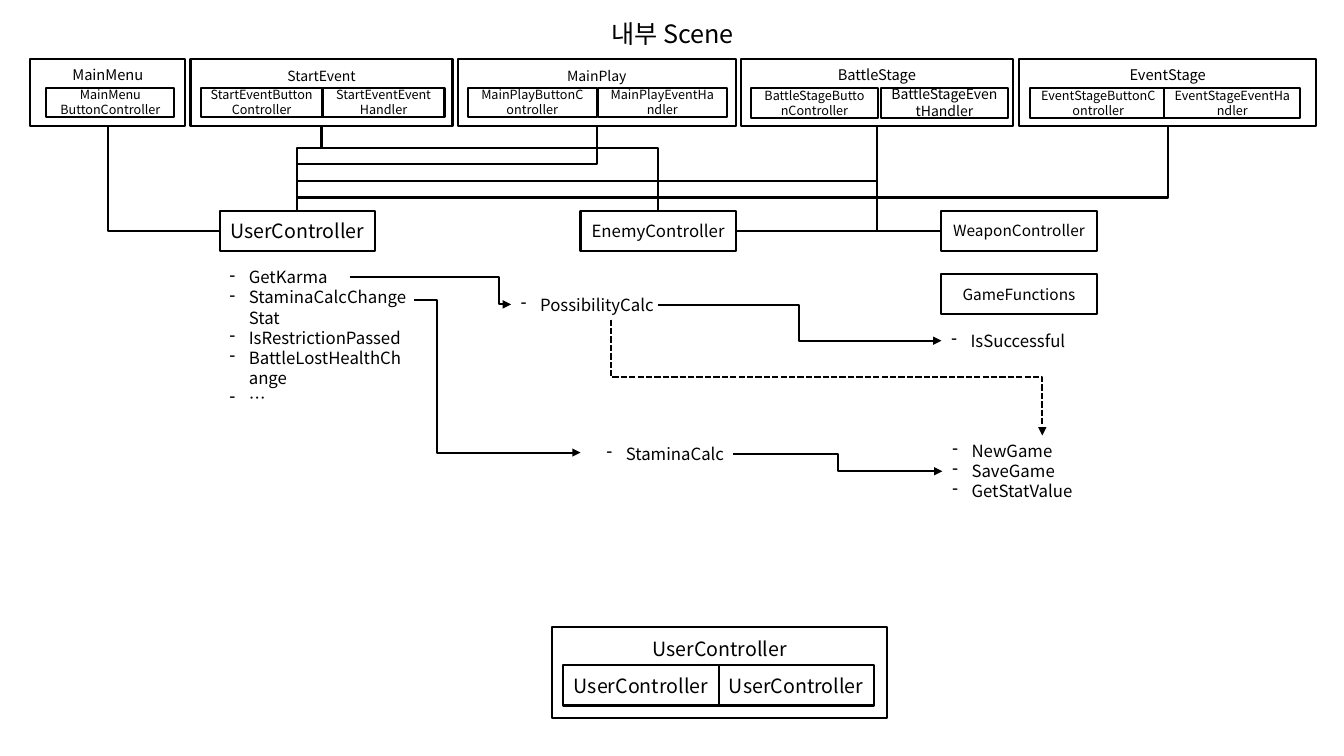
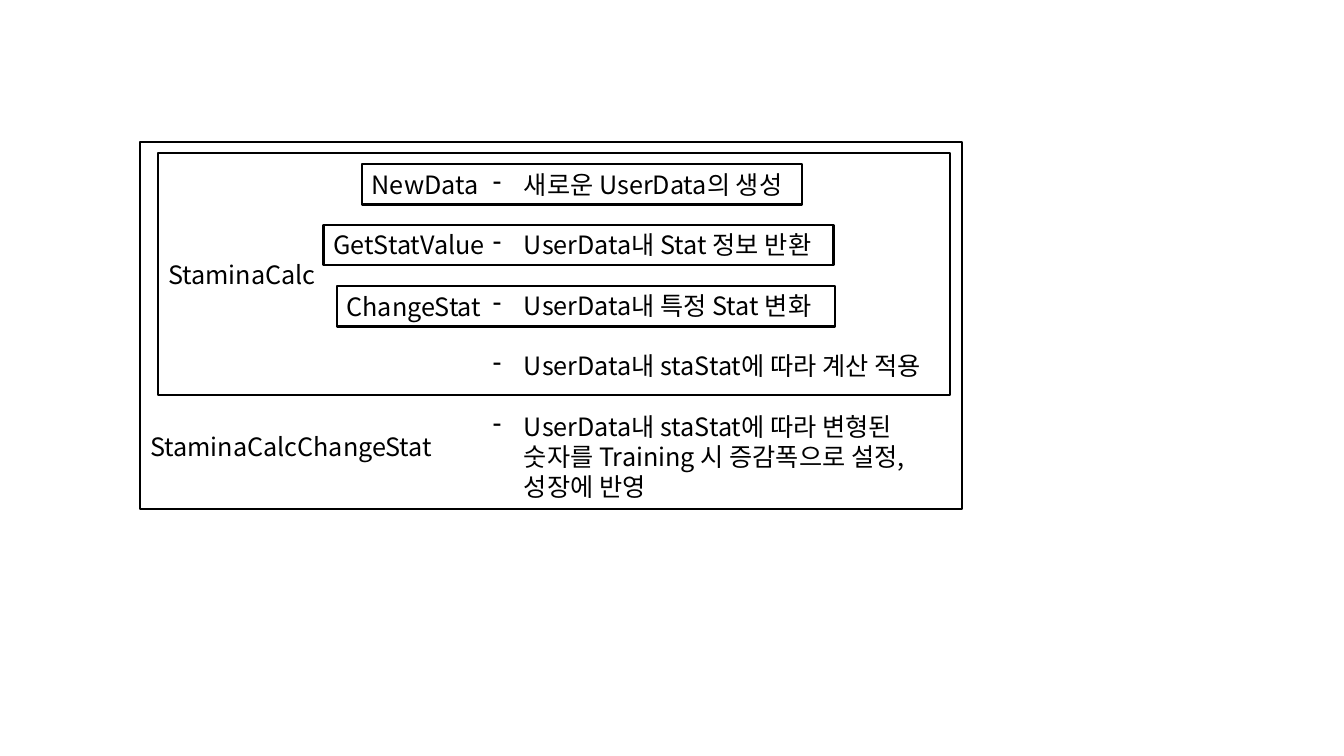
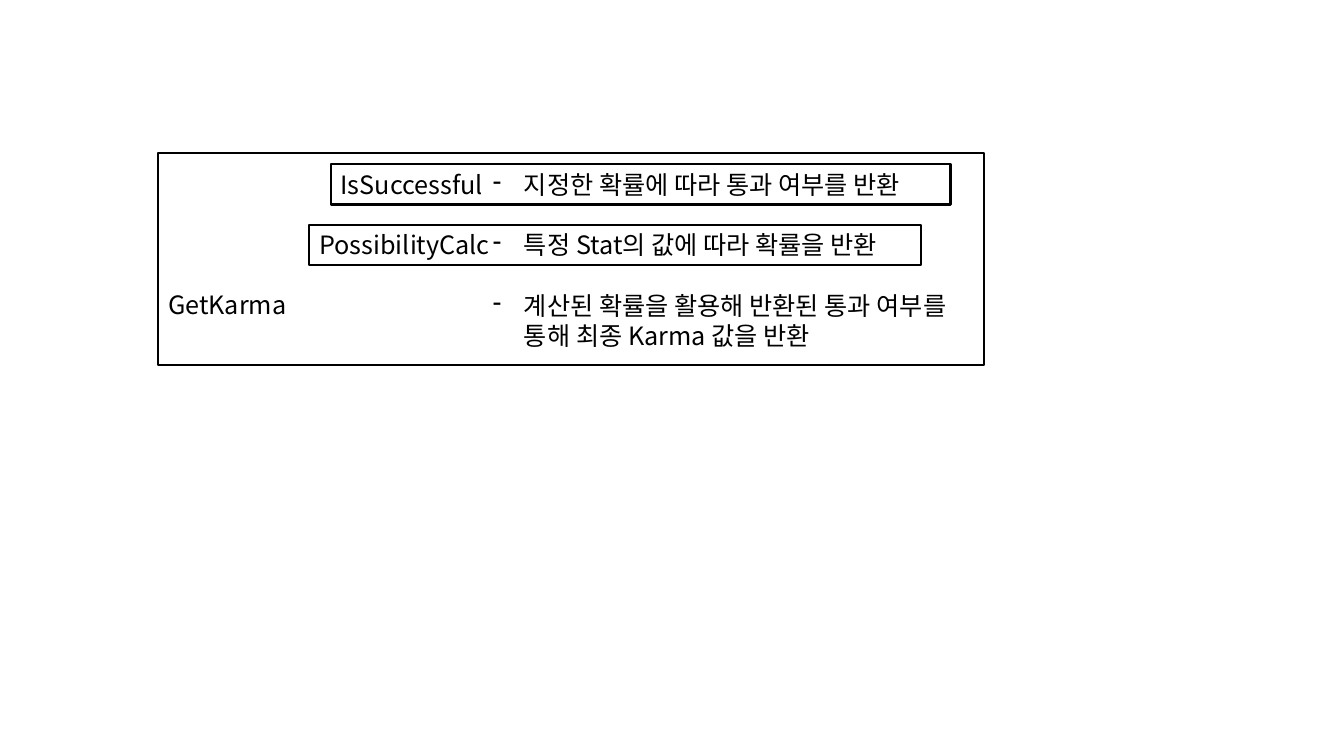
"""Build three slides that map the scene controllers and their functions."""
from lxml import etree
from pptx import Presentation
from pptx.dml.color import RGBColor
from pptx.enum.dml import MSO_LINE
from pptx.enum.shapes import MSO_CONNECTOR, MSO_SHAPE
from pptx.enum.text import MSO_ANCHOR, PP_ALIGN
from pptx.oxml.ns import qn
from pptx.util import Inches, Pt

PX = 9144
FONT = "Noto Sans CJK KR"
BLACK, WHITE = "000000", "FFFFFF"
LINE_WIDTH = Pt(1.5)
LEADING = 1.2
MARGIN = 5 * PX
RECT, ELBOW = MSO_SHAPE.RECTANGLE, MSO_CONNECTOR.ELBOW
AL_LEFT, AL_CENTER = PP_ALIGN.LEFT, PP_ALIGN.CENTER
ANCHOR_TOP, ANCHOR_MIDDLE = MSO_ANCHOR.TOP, MSO_ANCHOR.MIDDLE
DASH = MSO_LINE.SQUARE_DOT
TOP, LEFT, BOTTOM, RIGHT = range(4)
TURN_LEFT, TURN_RIGHT = "5400000", "16200000"
rgb = RGBColor.from_string


def put(s, x, y, w, h, lines, size, align=AL_CENTER, framed=True, above=0, below=0, indent=0, gap=0):
    """Add a framed box or plain text; above and below reserve lines, indent makes a dash list."""
    area = [v * PX for v in (x, y, w, h)]
    if framed:
        sp = s.shapes.add_shape(RECT, *area)
        sp.shadow.inherit = False
        sp.fill.solid()
        sp.fill.fore_color.rgb = rgb(WHITE)
        sp.line.color.rgb = rgb(BLACK)
        sp.line.width = LINE_WIDTH
    else:
        sp = s.shapes.add_textbox(*area)
    leading = Pt(size * LEADING)
    tf = sp.text_frame
    tf.word_wrap = True
    tf.vertical_anchor = ANCHOR_MIDDLE if framed else ANCHOR_TOP
    tf.margin_top = MARGIN + above * leading
    tf.margin_bottom = MARGIN + below * leading
    tf.text = "\n".join(lines)
    for i, p in enumerate(tf.paragraphs):
        p.alignment = align
        p.line_spacing = leading
        p.space_before = gap * leading if i else 0
        if indent:
            pPr = p._p.get_or_add_pPr()
            pPr.set("marL", str(indent * PX))
            pPr.set("indent", str(-indent * PX))
            etree.SubElement(pPr, qn("a:buChar"), char="-")
        for r in p.runs:
            r.font.size = Pt(size)
            r.font.color.rgb = rgb(BLACK)
            r.font.name = FONT
    return sp


def link(s, point=(0, 0), tip=(0, 0), begin=None, end=None, turn=None, arrow=False, dash=False):
    """Join two points or (shape, side) pairs; turn is where the middle stretch lies, None one corner."""
    c = s.shapes.add_connector(ELBOW, *[v * PX for v in (*point, *tip)])
    if begin:
        c.begin_connect(*begin)
    if end:
        c.end_connect(*end)
    c.line.color.rgb = rgb(BLACK)
    c.line.width = LINE_WIDTH
    if dash:
        c.line.dash_style = DASH
    if arrow:
        etree.SubElement(c.line._get_or_add_ln(), qn("a:tailEnd"), type="triangle")
    spPr = c._element.spPr
    etree.SubElement(spPr, qn("a:effectLst"))

    downward = begin is not None and begin[1] == BOTTOM
    dx, dy = c.end_x - c.begin_x, c.end_y - c.begin_y
    origin, length = (c.begin_y, dy) if downward else (c.begin_x, dx)
    geom = spPr.find(qn("a:prstGeom"))
    if turn is None:
        geom.set("prst", "bentConnector2")
    else:
        share = round((turn * PX - origin) / length * 100000)
        etree.SubElement(geom.find(qn("a:avLst")), qn("a:gd"), name="adj1", fmla=f"val {share}")
    if downward:
        mid_x, mid_y = c.begin_x + dx // 2, c.begin_y + dy // 2
        xfrm = spPr.find(qn("a:xfrm"))
        xfrm.set("rot", TURN_RIGHT if dx > 0 else TURN_LEFT)
        xfrm.set("flipH", "1" if dx > 0 else "0")
        c.width, c.height = dy, abs(dx)
        c.left, c.top = mid_x - dy // 2, mid_y - abs(dx) // 2


prs = Presentation()
prs.slide_width, prs.slide_height = Inches(40 / 3), Inches(7.5)
blank = prs.slide_layouts[6]

s = prs.slides.add_slide(blank)
put(s, 554, 13, 226, 40, ["내부 Scene"], 18, framed=False)

BUTTON, HANDLER = "ButtonController", "EventHandler"
scenes = [
    ("MainMenu", 30, 154, 10.5, 16, 127, 127, 29, [(" " + BUTTON, 9)]),
    ("StartEvent", 189, 260, 10, 10, 121, 121, 29, [(BUTTON, 9), (HANDLER, 9)]),
    ("MainPlay", 454, 276, 10, 10, 129, 128, 29, [(BUTTON, 9), (HANDLER, 9)]),
    ("BattleStage", 735, 270, 10.5, 10, 129, 126, 30, [(BUTTON, 9), (HANDLER, 10)]),
    ("EventStage", 1011, 295, 10.5, 11, 133, 135, 30, [(BUTTON, 9), (HANDLER, 9)]),
]
nodes = {}
for name, x, w, size, inset, step, part_w, part_h, parts in scenes:
    nodes[name] = put(s, x, 59, w, 66, [name], size, below=2)
    for i, (suffix, part_size) in enumerate(parts):
        put(s, x + inset + i * step, 87, part_w, part_h, [name + suffix], part_size)

BOX_W, BOX_H = 154, 40
controllers = [("UserController", 14), ("EnemyController", 12), ("WeaponController", 11)]
for i, (name, size) in enumerate(controllers):
    nodes[name] = put(s, 218 + 358 * i, 209, BOX_W, BOX_H, [name], size)
put(s, 934, 272, BOX_W, BOX_H, ["GameFunctions"], 11)

put(s, 548, 622, 332, 90, ["UserController"], 14, below=2)
for i in range(2):
    put(s, 559 + BOX_W * i, 660, BOX_W, BOX_H, ["UserController"], 14)

functions = [
    (218, 260, 151, ["GetKarma", "StaminaCalcChangeStat", "IsRestrictionPassed",
                     "BattleLostHealthChange", "…"]),
    (934, 323, 30, ["IsSuccessful"]),
    (507, 287, 30, ["PossibilityCalc"]),
    (935, 432, 71, ["NewGame", "SaveGame", "GetStatValue"]),
    (592, 435, 30, ["StaminaCalc"]),
]
for x, y, h, names in functions:
    nodes[names[0]] = put(s, x, y, 198, h, names, 12, AL_LEFT, framed=False, indent=19)

scene_links = [
    ("MainMenu", "UserController", LEFT, None),
    ("StartEvent", "UserController", TOP, 147),
    ("StartEvent", "EnemyController", TOP, 147),
    ("MainPlay", "UserController", TOP, 163),
    ("BattleStage", "EnemyController", RIGHT, None),
    ("BattleStage", "UserController", TOP, 180),
    ("BattleStage", "WeaponController", LEFT, None),
    ("EventStage", "UserController", TOP, 196),
]
for scene, controller, side, turn in scene_links:
    link(s, begin=(nodes[scene], BOTTOM), end=(nodes[controller], side), turn=turn)

calls = [
    ((347, 275), "PossibilityCalc", 495),
    ((653, 303), "IsSuccessful", 793),
    ((727, 450), "NewGame", 831),
]
for point, called, turn in calls:
    link(s, point=point, end=(nodes[called], LEFT), turn=turn, arrow=True)
link(s, point=(411, 298), tip=(576, 449), turn=434, arrow=True)
link(s, begin=(nodes["PossibilityCalc"], BOTTOM), end=(nodes["NewGame"], TOP),
     turn=374, arrow=True, dash=True)

details = [
    ([(139, 141, 815, 364, "StaminaCalcChangeStat", 8),
      (157, 152, 786, 240, "StaminaCalc", 0),
      (334, 284, 494, BOX_H, "ChangeStat", 0),
      (321, 223, 506, BOX_H, "GetStatValue", 0),
      (359, 163, 437, BOX_H, "NewData", 0)],
     343,
     ["새로운 UserData의 생성", "UserData내 Stat 정보 반환", "UserData내 특정 Stat 변화",
      "UserData내 staStat에 따라 계산 적용",
      "UserData내 staStat에 따라 변형된 숫자를 Training 시 증감폭으로 설정, 성장에 반영"]),
    ([(157, 152, 819, 210, "GetKarma", 3),
      (307, 223, 607, BOX_H, "PossibilityCalc", 0),
      (328, 163, 615, BOX_H, "IsSuccessful", 0)],
     192,
     ["지정한 확률에 따라 통과 여부를 반환", "특정 Stat의 값에 따라 확률을 반환",
      "계산된 확률을 활용해 반환된 통과 여부를 통해 최종 Karma 값을 반환"]),
]
for boxes, notes_h, notes in details:
    s = prs.slides.add_slide(blank)
    for x, y, w, h, name, above in boxes:
        put(s, x, y, w, h, [name], 18, AL_LEFT, above=above)
    put(s, 479, 163, 475, notes_h, notes, 18, AL_LEFT, framed=False, indent=31, gap=1)

prs.save("out.pptx")
